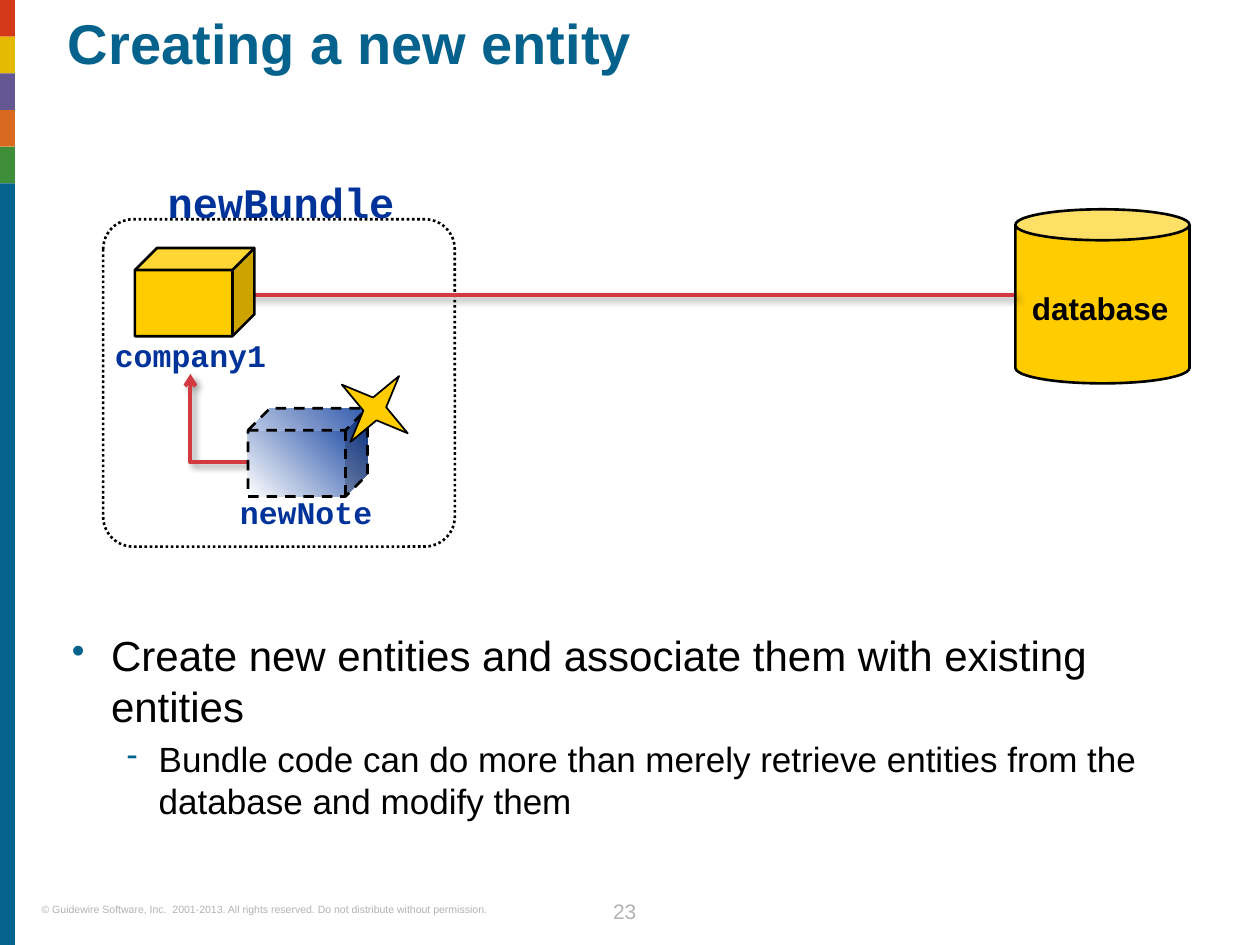
from lxml import etree
from pptx import Presentation
from pptx import util as u
from pptx.dml.color import RGBColor
from pptx.enum import dml, shapes, text
from pptx.oxml import ns

COLORS = {
    "teal": "04628C", "green": "3F8E39", "orange": "D8691E", "purple": "645893",
    "yellow": "E5BA03", "red": "D33819", "gray": "B2B2B2", "black": "000000",
    "navy": "003399", "gold": "FFCC00", "white": "FFFFFF", "link": "D33941",
}
SHAPE = shapes.MSO_SHAPE
DASH = dml.MSO_LINE
ALIGN = text.PP_ALIGN


def rgb(name):
    return RGBColor.from_string(COLORS[name])


def add_xml(parent, tag, **attributes):
    return etree.SubElement(parent, ns.qn(tag), attributes)


def write(paragraph, content, size=18, color="black", font="Arial", bold=False,
          align=ALIGN.LEFT, line_spacing=None, space_before=None):
    run = paragraph.add_run()
    run.text = content
    run.font.size = u.Pt(size)
    run.font.name = font
    run.font.bold = bold
    run.font.color.rgb = rgb(color)
    paragraph.alignment = align
    if line_spacing is not None:
        paragraph.line_spacing = line_spacing
    if space_before is not None:
        paragraph.space_before = u.Pt(space_before)


class SlideBuilder:
    """Holds the current slide and draws each kind of element in its style."""

    def __init__(self, slide):
        self.slide = slide

    def prepare_frame(self, shape):
        frame = shape.text_frame
        frame.margin_left = frame.margin_right = 0
        frame.margin_top = frame.margin_bottom = 0
        frame.word_wrap = True
        frame.auto_size = text.MSO_AUTO_SIZE.NONE
        frame.vertical_anchor = text.MSO_ANCHOR.TOP
        return frame

    def title(self, content, box):
        shape = self.slide.shapes.title
        shape.left, shape.top, shape.width, shape.height = map(u.Cm, box)
        frame = self.prepare_frame(shape)
        write(frame.paragraphs[0], content, size=32, color="teal", bold=True,
              line_spacing=0.9)

    def text_box(self, box):
        return self.prepare_frame(self.slide.shapes.add_textbox(*map(u.Cm, box)))

    def label(self, content, box, **style):
        write(self.text_box(box).paragraphs[0], content, **style)

    def bullets(self, box, items):
        frame = self.text_box(box)
        for index, (content, mark, margin, hang, style) in enumerate(items):
            paragraph = frame.add_paragraph() if index else frame.paragraphs[0]
            properties = paragraph._p.get_or_add_pPr()
            properties.set("marL", str(u.Cm(margin)))
            properties.set("indent", str(-u.Cm(hang)))
            bullet_color = add_xml(properties, "a:buClr")
            add_xml(bullet_color, "a:srgbClr", val=COLORS["teal"])
            add_xml(properties, "a:buSzPct", val="90000")
            add_xml(properties, "a:buChar", char=mark)
            write(paragraph, content, **style)

    def shape(self, kind, box, fill=None, line=None, width=1.5, dash=None,
              adjust=None, rotation=0):
        shape = self.slide.shapes.add_shape(kind, *map(u.Cm, box))
        shape.shadow.inherit = False
        shape.rotation = rotation
        if adjust is not None:
            shape.adjustments[0] = adjust
        if fill is None:
            shape.fill.background()
        elif isinstance(fill, tuple):
            shape.fill.gradient()
            shape.fill.gradient_angle = 45
            for stop, name, position in zip(shape.fill.gradient_stops, fill, (0, 1)):
                stop.color.rgb = rgb(name)
                stop.position = position
        else:
            shape.fill.solid()
            shape.fill.fore_color.rgb = rgb(fill)
        if line is None:
            shape.line.fill.background()
        else:
            shape.line.color.rgb = rgb(line)
            shape.line.width = u.Pt(width)
            if dash is not None:
                shape.line.dash_style = dash

    def link(self, start, end, bent=False, arrow=False):
        kind = shapes.MSO_CONNECTOR.ELBOW if bent else shapes.MSO_CONNECTOR.STRAIGHT
        connector = self.slide.shapes.add_connector(kind, *map(u.Cm, start + end))
        connector.line.color.rgb = rgb("link")
        connector.line.width = u.Pt(2.25)
        properties = connector._element.spPr
        if bent:
            # One corner only
            properties.find(ns.qn("a:prstGeom")).set("prst", "bentConnector2")
        if arrow:
            add_xml(properties.find(ns.qn("a:ln")), "a:tailEnd", type="arrow")
        effects = add_xml(properties, "a:effectLst")
        shadow = add_xml(effects, "a:outerShdw", blurRad=str(u.Pt(4)),
                         dist=str(u.Pt(3)), dir="2700000", algn="tl",
                         rotWithShape="0")
        shadow_color = add_xml(shadow, "a:srgbClr", val=COLORS["black"])
        add_xml(shadow_color, "a:alpha", val="40000")


def main():
    presentation = Presentation()
    presentation.slide_width = u.Cm(25.4)
    presentation.slide_height = u.Cm(19.05)
    slide = presentation.slides.add_slide(presentation.slide_layouts[5])
    builder = SlideBuilder(slide)

    # Side stripe
    band = 0.74
    band_colors = ["red", "yellow", "purple", "orange", "green"]
    for index, color in enumerate(band_colors):
        builder.shape(SHAPE.RECTANGLE, (0, index * band, 0.3, band), fill=color)
    stripe_top = len(band_colors) * band
    builder.shape(SHAPE.RECTANGLE, (0, stripe_top, 0.3, 19.05 - stripe_top),
                  fill="teal")

    # Footer
    builder.label("© Guidewire Software, Inc.  2001-2013. All rights reserved. "
                  "Do not distribute without permission.",
                  (0.84, 18.21, 10.21, 0.25), size=6, color="gray")
    builder.label("23", (11.87, 17.98, 1.45, 0.64), size=12, color="gray",
                  align=ALIGN.CENTER, line_spacing=u.Pt(18))

    # Title and bullets
    builder.title("Creating a new entity", (1.37, 0.33, 23.11, 2.06))
    builder.bullets((1.45, 12.7, 23.11, 5.08), [
        ("Create new entities and associate them with existing entities",
         "•", 0.79, 0.79, {"size": 24}),
        ("Bundle code can do more than merely retrieve entities from the "
         "database and modify them",
         "-", 1.75, 0.64, {"size": 20, "space_before": 4}),
    ])

    # Bundle, with the new note pointing to its company
    code = {"font": "Courier New", "color": "navy", "bold": True,
            "align": ALIGN.CENTER}
    cube = {"line": "black", "adjust": 0.25}
    builder.link((5, 9.32), (3.84, 7.54), bent=True, arrow=True)
    builder.shape(SHAPE.CUBE, (5, 8.23, 2.41, 1.78), fill=("white", "navy"),
                  dash=DASH.DASH, **cube)
    builder.shape(SHAPE.ROUNDED_RECTANGLE, (2.08, 4.42, 7.09, 6.6),
                  line="black", dash=DASH.ROUND_DOT, adjust=0.092)
    builder.label("newBundle", (3.33, 3.56, 4.67, 1.02), size=24, **code)

    # Database
    builder.shape(SHAPE.CAN, (20.47, 4.22, 3.51, 3.51), fill="gold",
                  line="black", adjust=0.178)
    builder.label("database", (20.68, 5.82, 3, 0.76), bold=True,
                  align=ALIGN.CENTER)

    # Entities and the link to the database
    builder.label("company1", (2.24, 6.78, 3.2, 0.76), **code)
    builder.link((20.45, 5.94), (4.83, 5.94))
    builder.label("newNote", (4.62, 9.93, 3.1, 0.76), **code)
    builder.shape(SHAPE.STAR_4_POINT, (6.73, 7.42, 1.65, 1.65), fill="gold",
                  line="black", width=1, adjust=0.141, rotation=36.4)
    builder.shape(SHAPE.CUBE, (2.72, 5, 2.41, 1.78), fill="gold", **cube)

    presentation.save("out.pptx")


if __name__ == "__main__":
    main()
